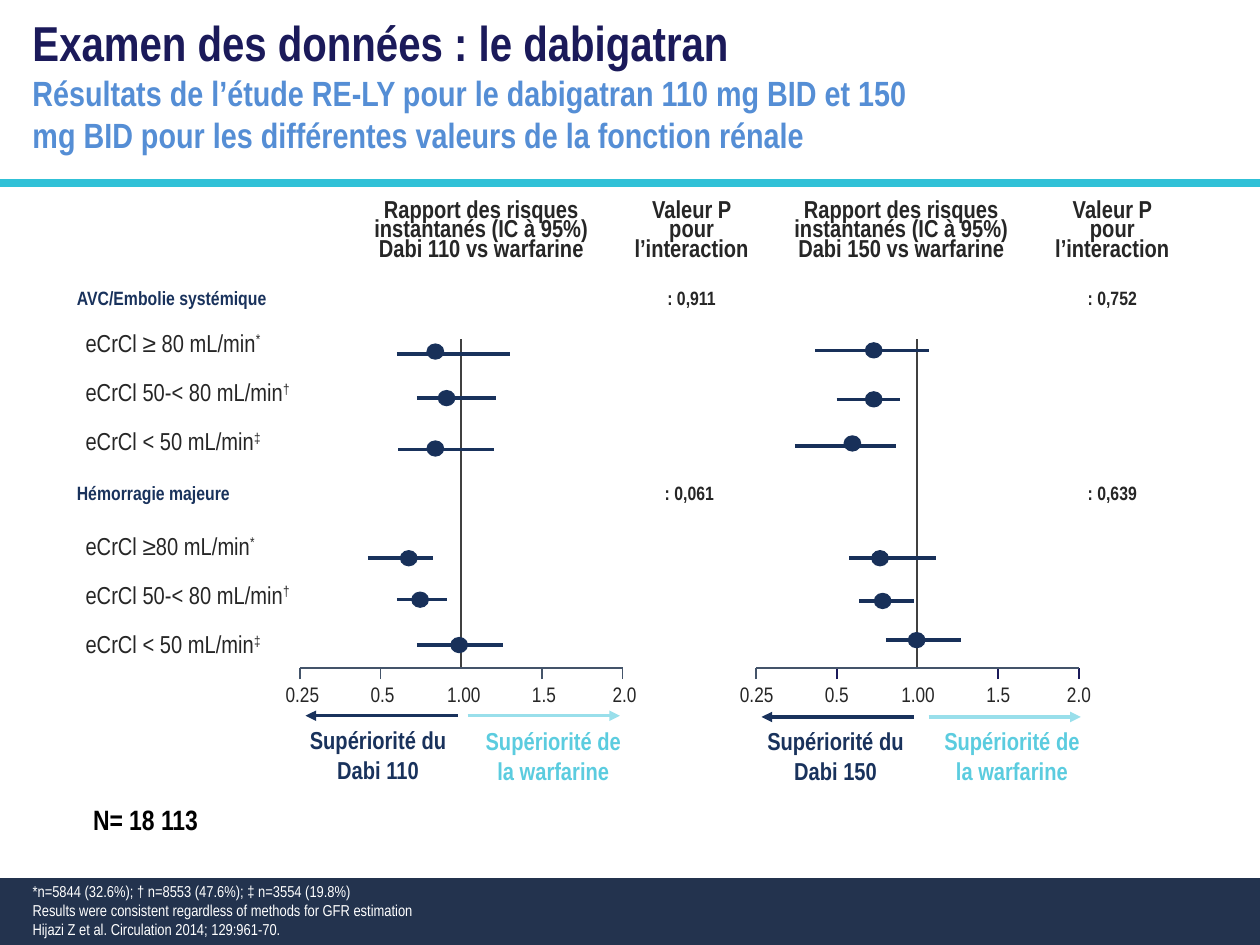
import lxml.etree
import pptx
import pptx.dml.color
import pptx.enum.shapes
import pptx.enum.text
import pptx.oxml.ns
import pptx.util

Pt = pptx.util.Pt
qn = pptx.oxml.ns.qn
Shape = pptx.enum.shapes.MSO_SHAPE
Align = pptx.enum.text.PP_ALIGN
Anchor = pptx.enum.text.MSO_ANCHOR


class Theme:
    font = "Arial Narrow"
    title, subtitle, sample, body, axis, section, footer = 28, 20, 16, 14, 12, 11, 9
    indigo, sky, cyan, band = "1B1A5A", "558ED5", "30C1D7", "23334E"
    navy, dot, pale, aqua = "19325C", "183059", "99DFEB", "5BCCDF"
    text, slate, grey, black, white = "262626", "44546A", "404040", "000000", "FFFFFF"


def write(para, text, size, color, bold=False, align=None, spacing=None, mark=""):
    para.alignment = align
    para.line_spacing = spacing
    for part in filter(None, (text, mark)):
        span = para.add_run()
        span.text = part
        span.font.name = Theme.font
        span.font.size = Pt(size)
        span.font.bold = bold
        span.font.color.rgb = pptx.dml.color.RGBColor.from_string(color)
    if mark:
        span.font._element.set("baseline", "30000")


def stroke(x1, y1, x2, y2, color, width, arrow=False):
    line = page.shapes.add_connector(
        pptx.enum.shapes.MSO_CONNECTOR.STRAIGHT, Pt(x1), Pt(y1), Pt(x2), Pt(y2))
    line.line.color.rgb = pptx.dml.color.RGBColor.from_string(color)
    line.line.width = Pt(width)
    if arrow:
        lxml.etree.SubElement(line.line._get_or_add_ln(), qn("a:tailEnd"), type="triangle")
    lxml.etree.SubElement(line._element.spPr, qn("a:effectLst"))


deck = pptx.Presentation()
deck.slide_width, deck.slide_height = Pt(720), Pt(540)
page = deck.slides.add_slide(deck.slide_layouts[6])

footer = page.shapes.add_shape(Shape.RECTANGLE, Pt(0), Pt(501.8), Pt(720), Pt(38.2))
footer.shadow.inherit = False
footer.fill.solid()
footer.fill.fore_color.rgb = pptx.dml.color.RGBColor.from_string(Theme.band)
footer.line.fill.background()

heading = page.shapes.add_textbox(Pt(11.5), Pt(3.6), Pt(515.5), Pt(90)).text_frame
heading.word_wrap = True
write(heading.paragraphs[0], "Examen des données : le dabigatran", Theme.title, Theme.indigo, True)
write(heading.add_paragraph(),
      "Résultats de l’étude RE-LY pour le dabigatran 110 mg BID et 150 mg BID "
      "pour les différentes valeurs de la fonction rénale", Theme.subtitle, Theme.sky, True)
stroke(0, 104.4, 720, 104.4, Theme.cyan, 4.5)

ratio = "Rapport des risques instantanés (IC à 95%)"
interaction = "Valeur P pour l’interaction"
rows = [
    ["", f"{ratio}\nDabi 110 vs warfarine", interaction, f"{ratio}\nDabi 150 vs warfarine", interaction],
    ["AVC/Embolie systémique", "", ": 0,911", "", ": 0,752"],
    ["eCrCl ≥ 80 mL/min*", "", "", "", ""],
    ["eCrCl 50-< 80 mL/min†", "", "", "", ""],
    ["eCrCl < 50 mL/min‡", "", "", "", ""],
    ["Hémorragie majeure", "", ": 0,061 ", "", ": 0,639"],
    ["eCrCl ≥80 mL/min*", "", "", "", ""],
    ["eCrCl 50-< 80 mL/min†", "", "", "", ""],
    ["eCrCl < 50 mL/min‡", "", "", "", ""],
]
heights = [50.4, 22.3, 28.1, 28.1, 28.1, 31.7, 28.1, 28.1, 28.1]
widths = [158.4, 159.8, 80.6, 159.1, 82.1]
table = page.shapes.add_table(
    len(rows), len(widths), Pt(36.7), Pt(107.3), Pt(sum(widths)), Pt(sum(heights))).table
table.first_row = table.horz_banding = False
for column, width in zip(table.columns, widths):
    column.width = Pt(width)
for r, (values, height) in enumerate(zip(rows, heights)):
    table.rows[r].height = Pt(height)
    for c, value in enumerate(values):
        cell = table.cell(r, c)
        cell.fill.background()
        cell.vertical_anchor = Anchor.MIDDLE
        cell.margin_top = cell.margin_bottom = Pt(1.4)
        para = cell.text_frame.paragraphs[0]
        if not value:
            lxml.etree.SubElement(para._p, qn("a:endParaRPr"), sz=str(Theme.section * 100))
        elif r == 0:
            for i, text in enumerate(value.split("\n")):
                para = cell.text_frame.add_paragraph() if i else para
                write(para, text, Theme.body, Theme.text, True, Align.CENTER, 0.85)
        elif c:
            write(para, value, Theme.section, Theme.text, True, Align.CENTER, 1.5)
        elif value[-1] in "*†‡":
            cell.margin_left = Pt(12.2)
            write(para, value[:-1], Theme.body, Theme.text, spacing=1.5, mark=value[-1])
        else:
            write(para, value, Theme.section, Theme.navy, True, spacing=1.5)

panels = [
    dict(dose="110", axis=171.4, shift=1, tick=Theme.slate, arrow_y=409, gap=3.6,
         notes=[(170.6, 411.1), (270.7, 411.8)], bar=Theme.navy,
         intervals=[(226.8, 291.6, 202.3, 248.8, 200.9), (238.3, 283.7, 227.5, 255.2, 227.5),
                    (227.5, 282.2, 257, 248.8, 256.3), (210.2, 247.7, 319, 233.6, 319),
                    (226.8, 255.6, 342.7, 240.1, 342.7), (238.3, 287.3, 368.6, 262.4, 368.6)]),
    dict(dose="150", axis=432, shift=0, tick=Theme.indigo, arrow_y=409.7, gap=6.4,
         notes=[(432, 411.8), (532.8, 411.8)], bar=Theme.dot,
         intervals=[(465.8, 530.6, 200.2, 499.3, 200.2), (478.1, 514.1, 228.2, 499.3, 228.2),
                    (454.3, 511.9, 254.9, 487.1, 253.4), (485.3, 535, 319, 502.9, 319),
                    (491, 522, 343.4, 504.4, 343.4), (506.2, 549.4, 365.8, 523.8, 365.8)]),
]
step, axis_y = 46.1, 381.6
for panel in panels:
    start = panel["axis"]
    unity = start + 2 * step
    for i, label in enumerate(["0.25", "0.5", "1.00", "1.5", "2.0"]):
        x = start + i * step
        if i != 2:
            stroke(x, 388.1, x, axis_y, panel["tick"] if i else Theme.slate, 1)
        width = 20 if len(label) == 4 else 14
        frame = page.shapes.add_textbox(
            Pt(x + panel["shift"] - width / 2), Pt(391), Pt(width), Pt(13)).text_frame
        frame.word_wrap = False
        frame.margin_left = frame.margin_right = frame.margin_top = frame.margin_bottom = 0
        write(frame.paragraphs[0], label, Theme.axis, Theme.text, align=Align.RIGHT, spacing=0.9)
    stroke(start, axis_y, start + 4 * step, axis_y, Theme.slate, 1)

    y = panel["arrow_y"]
    left, right = unity - 2, unity + panel["gap"]
    stroke(left, y, left - 87, y, Theme.navy, 2, True)
    stroke(right, y, right + 87, y, Theme.pale, 2, True)
    captions = [(f"Supériorité du Dabi {panel['dose']}", Theme.navy),
                ("Supériorité de la warfarine", Theme.aqua)]
    for (x, top), (text, color) in zip(panel["notes"], captions):
        box = page.shapes.add_shape(Shape.ROUNDED_RECTANGLE, Pt(x), Pt(top), Pt(91), Pt(40.3))
        box.shadow.inherit = False
        box.fill.background()
        box.line.fill.background()
        box.text_frame.word_wrap = True
        box.text_frame.margin_left = box.text_frame.margin_right = 0
        box.text_frame.vertical_anchor = Anchor.MIDDLE
        write(box.text_frame.paragraphs[0], text, Theme.body, color, True, Align.CENTER)

    stroke(unity, 380.9, unity, 193.7, Theme.grey, 1)
    for low, high, y, dot_x, dot_y in panel["intervals"]:
        stroke(low, y, high, y, panel["bar"], 2)
        dot = page.shapes.add_shape(
            Shape.OVAL, Pt(dot_x - 4.7), Pt(dot_y - 4.3), Pt(9.4), Pt(8.6))
        dot.shadow.inherit = False
        dot.fill.solid()
        dot.fill.fore_color.rgb = pptx.dml.color.RGBColor.from_string(Theme.dot)
        dot.line.color.rgb = pptx.dml.color.RGBColor.from_string(panel["bar"])
        dot.line.width = Pt(0.75)

sample = page.shapes.add_textbox(Pt(46.1), Pt(455), Pt(74.9), Pt(26.6)).text_frame
sample.word_wrap = False
write(sample.paragraphs[0], "N= 18 113", Theme.sample, Theme.black, True)

notes = page.shapes.add_textbox(Pt(11.5), Pt(500.4), Pt(342), Pt(40.3)).text_frame
notes.word_wrap = True
write(notes.paragraphs[0], "*n=5844 (32.6%); † n=8553 (47.6%); ‡ n=3554 (19.8%)", Theme.footer, Theme.white)
source = notes.add_paragraph()
write(source, "Results were consistent regardless of methods for GFR estimation", Theme.footer, Theme.white)
source.add_line_break()
write(source, "Hijazi Z et al. Circulation 2014; 129:961-70.", Theme.footer, Theme.white)

deck.save("out.pptx")
